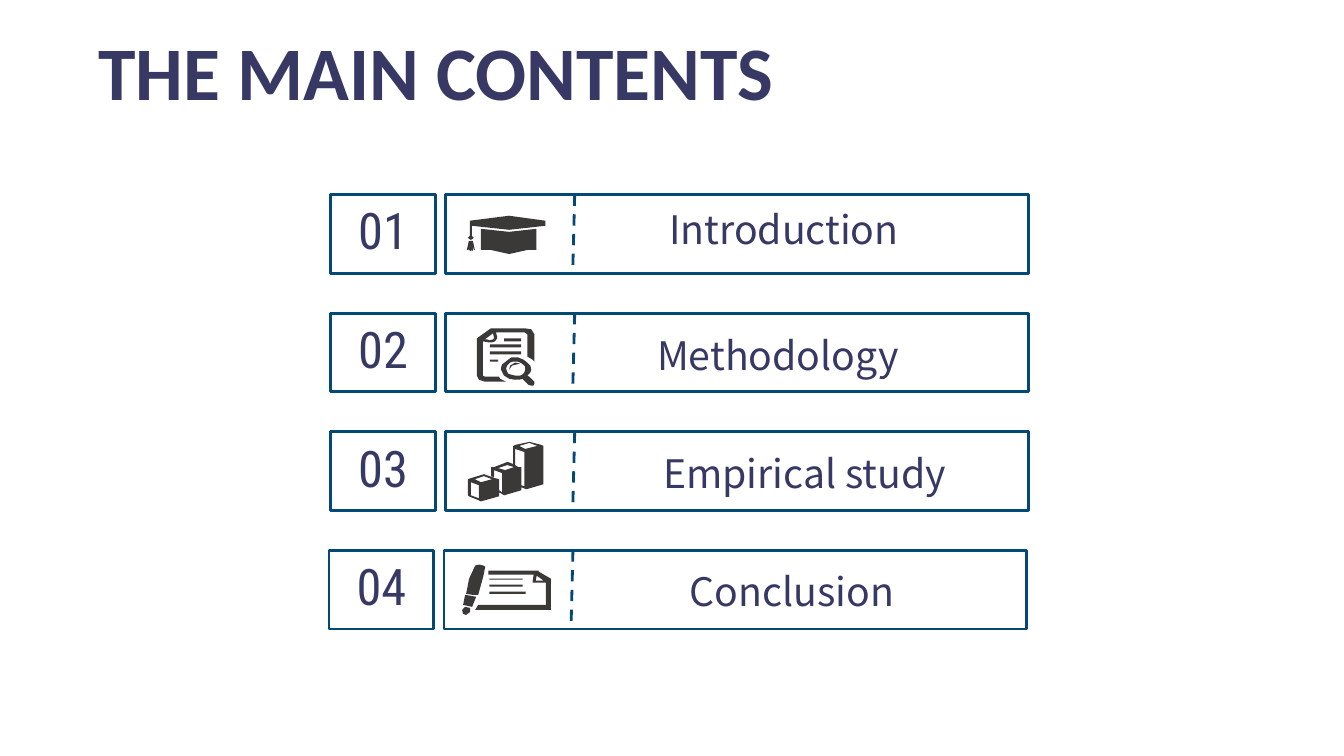
from lxml.etree import SubElement
from pptx import Presentation
from pptx.dml.color import RGBColor
from pptx.enum.dml import MSO_LINE as Dash
from pptx.enum.shapes import MSO_CONNECTOR as Link, MSO_SHAPE as Shape
from pptx.enum.text import MSO_ANCHOR as Anchor, MSO_AUTO_SIZE as Fit, PP_ALIGN as Align
from pptx.oxml.ns import qn
from pptx.util import Inches, Pt

NAVY = RGBColor(0x37, 0x38, 0x64)
TEAL = RGBColor(0x04, 0x48, 0x75)
GREY = RGBColor(0x3B, 0x38, 0x38)

CELL = Inches(0.1)  # one column or row of the grid
DOT = CELL // 10    # unit of the icon outlines


def ring(text):
    """Turn 'x,y x,y ...' into a list of points."""
    return [tuple(int(n) for n in pair.split(",")) for pair in text.split()]


def bar(x1, y1, x2, y2):
    return [(x1, y1), (x2, y1), (x2, y2), (x1, y2)]


# Icon outlines, in dots from the top left corner of the row's wide box
CAP = [
    ring("35,55 45,55 54,57 63,59 72,57 81,55 90,55 90,34 63,37 35,34"),
    ring("99,26 99,31 63,35 26,31 26,41 28,43 25,45 22,43 24,41 24,26 63,21"),
    ring("27,46 23,46 21,55 22,55 23,54 23,55 25,56 26,55 27,56 27,51 28,55 29,55"),
]
PAPER = [
    ring("47,15 78,15 85,16 88,21 88,48 86,46 81,43 81,21 80,20 78,19 50,19 51,23 "
         "51,25 49,28 46,29 43,29 37,28 37,62 39,63 53,63 54,65 60,68 39,68 33,66 "
         "31,62 31,25 45,15"),
    bar(44, 46, 52, 48), bar(44, 38, 75, 41), bar(44, 31, 75, 34), bar(58, 25, 75, 28),
    ring("47,20 39,26 41,26 44,27 47,26 48,25 48,24"),
    ring("63,56 66,52 74,50 69,49 64,52"),
    ring("61,47 56,51 55,54 55,56 58,62 63,65 68,66 73,66 77,65 77,66 82,71 85,72 "
         "87,72 88,70 88,68 83,63 81,62 84,59 85,56 84,52 81,49 77,46 72,44 65,44"),
    ring("71,48 67,48 64,49 61,52 60,55 61,58 62,60 65,61 69,62 74,62 76,61 78,59 "
         "79,56 79,53 77,51 74,49"),
]
CHART = [
    ring("45,35 48,35 61,30 62,30 67,32 67,14 69,13 83,10 95,13 97,14 97,52 80,57 "
         "75,55 75,58 58,63 53,60 53,64 35,69 33,68 23,64 22,63 22,47 25,46 38,42 "
         "49,46 53,47 53,58 56,60 56,41 48,38 48,45 45,44"),
    ring("73,14 79,17 91,14 83,11"),
    ring("33,53 25,50 25,63 33,66"),
    ring("52,36 59,38 68,35 61,33"),
    ring("69,33 72,35 75,35 75,53 78,54 78,20 69,17"),
    ring("29,47 35,50 46,47 38,44"),
]
PEN = [
    ring("31,15 35,14 39,15 41,16 39,26 34,44 28,44 22,43 25,28"),
    ring("34,54 31,59 106,59 106,28 94,21 94,20 44,20 44,24 89,24 88,31 88,32 "
         "101,32 101,54"),
    ring("99,30 91,30 92,25"),
    bar(45, 41, 81, 43), bar(45, 34, 78, 36), bar(45, 28, 78, 29),
    ring("21,56 26,57 26,61 22,64 19,63 18,59"),
    ring("21,44 19,54 28,56 32,46"),
]


class Deck:
    """Style and current slide; all places are in grid columns and rows."""

    def __init__(self):
        self.file = Presentation()
        self.file.slide_width, self.file.slide_height = Inches(13.33), Inches(7.5)
        self.slide = self.file.slides.add_slide(self.file.slide_layouts[6])
        self.layer = self.slide.shapes

    def group(self):
        self.layer = self.slide.shapes.add_group_shape().shapes

    def top(self):
        self.layer = self.slide.shapes

    def span(self, *cells):
        return [round(n * CELL) for n in cells]

    def text(self, place, words, size, face, bold=None, anchor=Anchor.TOP, lead=None):
        frame = self.layer.add_textbox(*self.span(*place)).text_frame
        frame.word_wrap = True
        frame.auto_size = Fit.SHAPE_TO_FIT_TEXT
        frame.vertical_anchor = anchor
        para = frame.paragraphs[0]
        para.alignment, para.line_spacing = Align.CENTER, lead
        run = para.add_run()
        run.text = words
        font = run.font
        font.name, font.size, font.bold = face, Pt(size), bold
        font.color.rgb = NAVY

    def stroke(self, line):
        line.color.rgb = TEAL
        line.width = Pt(2)

    def box(self, *place):
        rect = self.layer.add_shape(Shape.RECTANGLE, *self.span(*place))
        rect.shadow.inherit = False
        rect.fill.background()
        self.stroke(rect.line)

    def dash(self, *ends):
        rule = self.layer.add_connector(Link.STRAIGHT, *self.span(*ends))
        self.stroke(rule.line)
        rule.line.dash_style = Dash.DASH
        SubElement(rule._element.spPr, qn("a:effectLst"))

    def icon(self, x, y, rings):
        pen = self.layer.build_freeform(*rings[0][0], scale=DOT)
        for points in rings:
            pen.move_to(*points[0])
            pen.add_line_segments(points[1:], close=True)
        form = pen.convert_to_shape(*self.span(x, y))
        form.shadow.inherit = False
        form.fill.solid()
        form.fill.fore_color.rgb = GREY
        form.line.fill.background()

    def save(self):
        self.file.save("out.pptx")


# Label, its left, drop below the row's top and width, icon, shift of the row
ROWS = [
    ("Introduction", 57, 0.6, 41.5, CAP, 0),
    ("Methodology", 56.4, 1.35, 41.5, PAPER, 0),
    ("Empirical study", 56.6, 1.2, 46.4, CHART, 0),
    ("Conclusion", 56.4, 1.2, 44.3, PEN, -0.17),
]
FIRST, PITCH, HIGH = 19.3, 11.77, 7.8


def main():
    deck = Deck()

    # Numbered rows
    for i, (label, left, drop, wide, icon, shift) in enumerate(ROWS):
        y = FIRST + i * PITCH
        deck.group()
        deck.text((left, y + drop, wide, 5.7), label, 28, "Noto Sans CJK SC")
        deck.box(44.2 + shift, y, 57.8, HIGH)
        deck.dash(57 + shift, y, 56.8 + shift, y + HIGH)
        deck.box(32.8 + shift, y, 10.4, HIGH)
        deck.text((31.3 + shift, y, 13.4, 7.1), f"{i + 1:02}", 36, "Roboto Condensed")
        deck.icon(44.2 + shift, y, icon)

    # Title
    deck.top()
    deck.text((3.2, 2.7, 80.1, 9.4), "THE MAIN CONTENTS", 54, "Calibri",
              bold=True, anchor=Anchor.BOTTOM, lead=0.9)
    deck.save()


if __name__ == "__main__":
    main()
